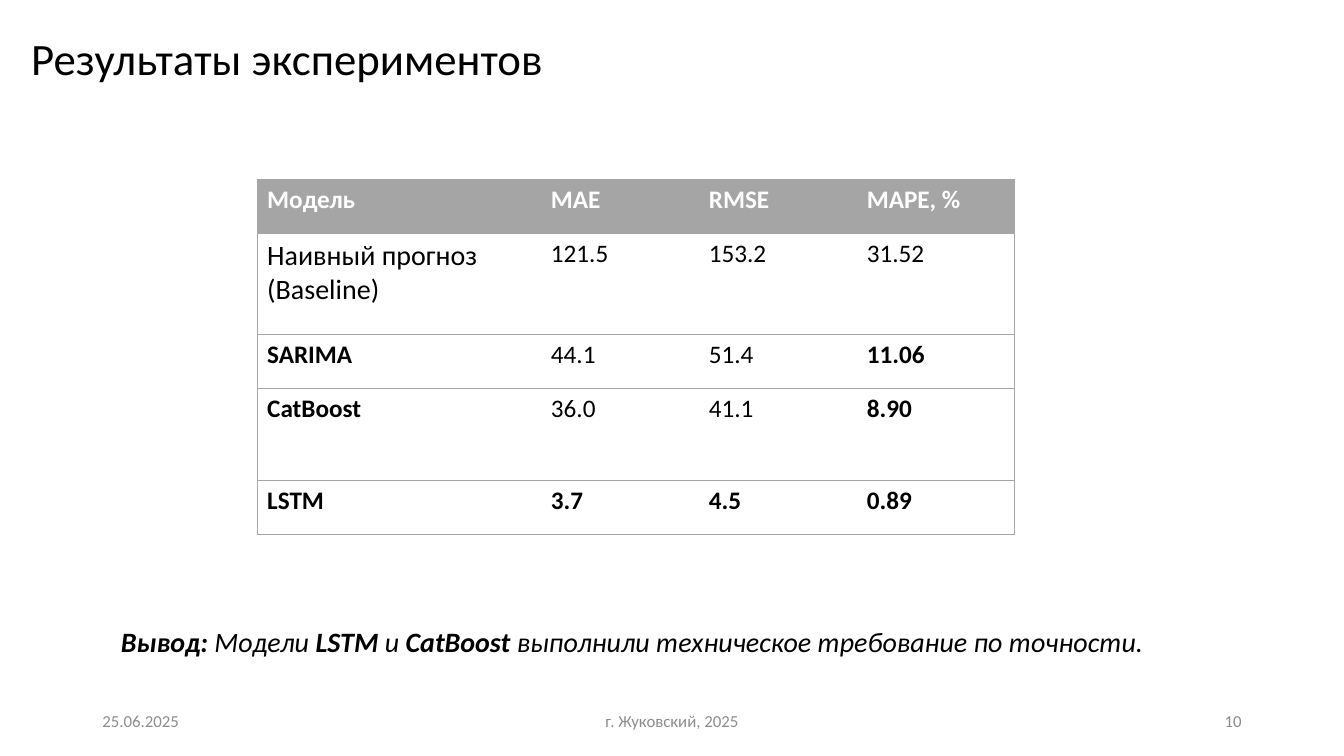
from lxml import etree
from pptx import Presentation
from pptx.dml.color import RGBColor
from pptx.enum.text import MSO_ANCHOR, PP_ALIGN
from pptx.oxml.ns import qn
from pptx.util import Cm, Pt

LEFT, CENTER, RIGHT = PP_ALIGN.LEFT, PP_ALIGN.CENTER, PP_ALIGN.RIGHT
TOP, MIDDLE = MSO_ANCHOR.TOP, MSO_ANCHOR.MIDDLE
TITLE_ONLY = 5

FONT = "Calibri"
COLORS = {"text": "000000", "footer": "8C8C8C", "grid": "A5A5A5", "header": "FFFFFF"}

TITLE = "Результаты экспериментов"
HEADER = ("Модель", "MAE", "RMSE", "MAPE, %")
RESULTS = [
    ("Наивный прогноз (Baseline)", "121.5", "153.2", "31.52"),
    ("SARIMA", "44.1", "51.4", "11.06"),
    ("CatBoost", "36.0", "41.1", "8.90"),
    ("LSTM", "3.7", "4.5", "0.89"),
]
BEST_MODEL = "LSTM"
BASELINE = RESULTS[0][0]
CONCLUSION = [  # text, bold
    ("Вывод:", True),
    (" Модели ", False),
    ("LSTM ", True),
    ("и ", False),
    ("CatBoost ", True),
    ("выполнили техническое требование по точности.", False),
]
FOOTER = [  # text, left, width, alignment
    ("25.06.2025", 2.33, 7.62, LEFT),
    ("г. Жуковский, 2025", 11.22, 11.43, CENTER),
    ("10", 23.92, 7.62, RIGHT),
]
FOOTER_TOP, FOOTER_HEIGHT = 17.65, 1.01
TABLE_LEFT, TABLE_TOP = 6.48, 4.53
COLUMN_WIDTHS = [7.15, 3.98, 3.98, 3.98]
ROW_HEIGHTS = [1.35, 2.55, 1.35, 2.33, 1.35]


def add_run(para, text, size, color="text", bold=False, italic=False):
    span = para.add_run()
    span.text = text
    span.font.name = FONT
    span.font.size = Pt(size)
    span.font.bold = bold
    span.font.italic = italic
    span.font.color.rgb = RGBColor.from_string(COLORS[color])


def add_text_box(slide, left, top, width, height, anchor, align):
    """Add an empty wrapped text box and return its first paragraph."""
    frame = slide.shapes.add_textbox(Cm(left), Cm(top), Cm(width), Cm(height)).text_frame
    frame.word_wrap = True
    frame.vertical_anchor = anchor
    para = frame.paragraphs[0]
    para.alignment = align
    return para


def set_borders(cell, visible):
    """Draw the cell sides named in visible and clear the others."""
    properties = cell._tc.get_or_add_tcPr()
    for position, side in enumerate("LRTB"):
        line = etree.Element(qn(f"a:ln{side}"), w=str(Pt(0.5)))
        if side in visible:
            fill = etree.SubElement(line, qn("a:solidFill"))
            etree.SubElement(fill, qn("a:srgbClr"), val=COLORS["grid"])
        else:
            etree.SubElement(line, qn("a:noFill"))
        properties.insert(position, line)


def is_bold(row, column):
    model = row[0]
    if row == HEADER or model == BEST_MODEL:
        return True
    return model != BASELINE and column in (0, len(HEADER) - 1)


def add_results_table(slide):
    rows = [HEADER, *RESULTS]
    table = slide.shapes.add_table(
        len(rows), len(HEADER), Cm(TABLE_LEFT), Cm(TABLE_TOP),
        Cm(sum(COLUMN_WIDTHS)), Cm(sum(ROW_HEIGHTS))).table
    table.horz_banding = False
    for column, width in zip(table.columns, COLUMN_WIDTHS):
        column.width = Cm(width)
    for table_row, height in zip(table.rows, ROW_HEIGHTS):
        table_row.height = Cm(height)

    last = len(HEADER) - 1
    for r, row in enumerate(rows):
        for c, text in enumerate(row):
            cell = table.cell(r, c)
            if row == HEADER:
                cell.fill.solid()
                cell.fill.fore_color.rgb = RGBColor.from_string(COLORS["grid"])
            else:
                cell.fill.background()
            set_borders(cell, "TB" + "L" * (c == 0) + "R" * (c == last))
            add_run(cell.text_frame.paragraphs[0], text,
                    size=20 if text == BASELINE else 18,
                    color="header" if row == HEADER else "text",
                    bold=is_bold(row, c))


def main():
    deck = Presentation()
    deck.slide_width, deck.slide_height = Cm(33.87), Cm(19.05)
    slide = deck.slides.add_slide(deck.slide_layouts[TITLE_ONLY])

    title = slide.shapes.title
    title.left, title.top, title.width, title.height = Cm(0.53), Cm(0.69), Cm(31.01), Cm(1.7)
    title.text_frame.vertical_anchor = MIDDLE
    para = title.text_frame.paragraphs[0]
    para.alignment = LEFT
    para.line_spacing = 0.9
    add_run(para, TITLE, 32)

    for text, left, width, align in FOOTER:
        para = add_text_box(slide, left, FOOTER_TOP, width, FOOTER_HEIGHT, MIDDLE, align)
        add_run(para, text, 12, "footer")

    add_results_table(slide)

    para = add_text_box(slide, 2.8, 15.6, 26.47, 1.11, TOP, LEFT)
    for text, bold in CONCLUSION:
        add_run(para, text, 20, bold=bold, italic=True)

    deck.save("out.pptx")


if __name__ == "__main__":
    main()
